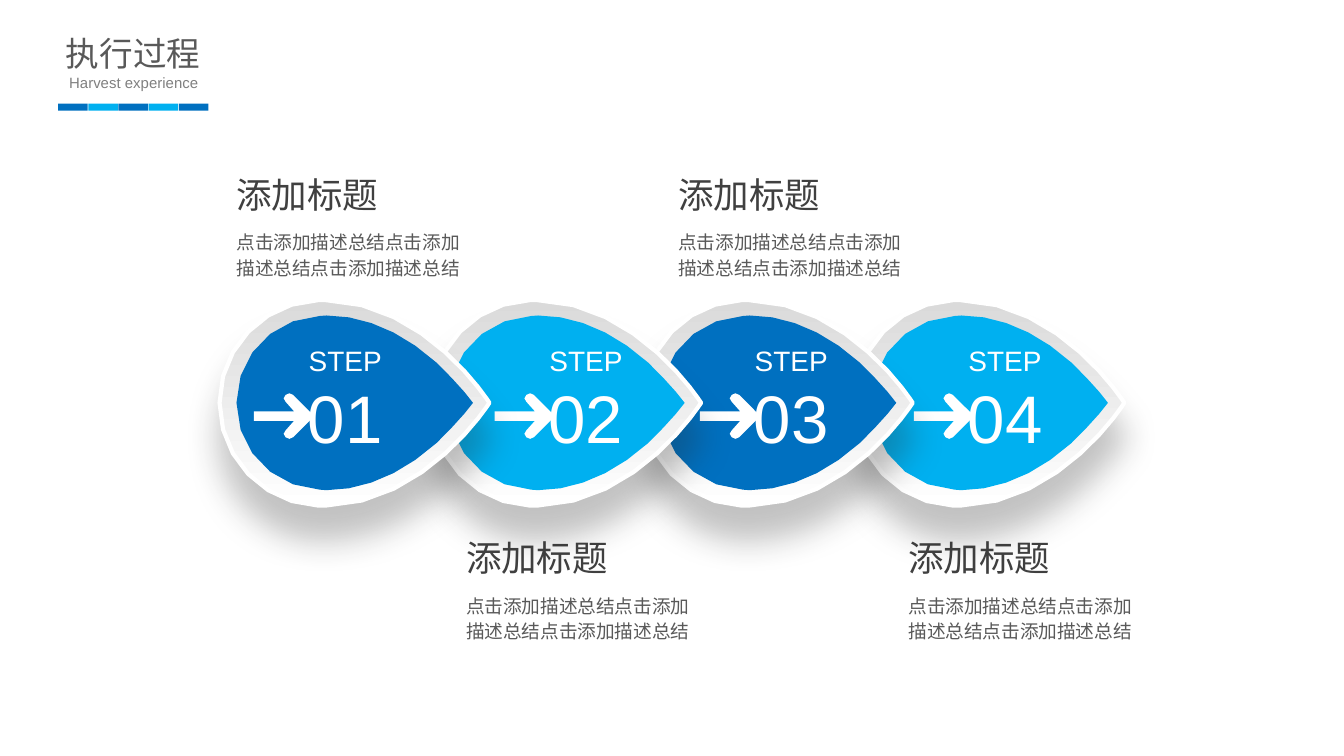
import math
from dataclasses import dataclass
from typing import Any

import pptx
import pptx.dml.color
import pptx.enum.shapes
import pptx.enum.text
import pptx.oxml
import pptx.oxml.ns
import pptx.util

Cm = pptx.util.Cm
Point = tuple[float, float]
Segment = tuple[Point, ...]
CENTER = pptx.enum.text.PP_ALIGN.CENTER

BLUE, SKY, WHITE = "0070C0", "00B0F0", "FFFFFF"
STEP_PITCH = 4.0
DROP_LEFT, DROP_MIDDLE, ARROW_MIDDLE = 4.15, 7.61, 7.86
UPPER_CAPTION, LOWER_CAPTION = 3.15, 10.01
CHORD = 0.5


@dataclass(frozen=True)
class UpperHalf:
    start: Point
    segments: tuple[Segment, ...]


@dataclass(frozen=True)
class Step:
    number: str
    color: str
    arrow_left: float
    caption_left: float
    caption_top: float


@dataclass(frozen=True)
class Line:
    text: str
    size: float
    color: str


DROP = UpperHalf((0, 0), (
    ((0, -1.04), (0.83, -1.9), (1.86, -1.94)),
    ((2.01, -1.94),),
    ((3.91, -1.9), (5.1, 0), (5.1, 0)),
))
CORE = UpperHalf((0, 0), (
    ((0, -0.89), (0.69, -1.6), (1.57, -1.64)),
    ((1.7, -1.65),),
    ((2.41, -1.65), (3.12, -1.35), (3.78, -0.76)),
    ((4.09, -0.46), (4.34, -0.18), (4.47, 0)),
))
ARROW = UpperHalf((0, -0.09), (
    ((0.76, -0.09),),
    ((0.6, -0.27),),
    ((0.55, -0.3), (0.55, -0.37), (0.6, -0.4)),
    ((0.64, -0.44), (0.7, -0.44), (0.74, -0.4)),
    ((1.14, 0),),
))
STEPS = (
    Step("01", BLUE, 4.8, 4.22, UPPER_CAPTION),
    Step("02", SKY, 9.35, 8.56, LOWER_CAPTION),
    Step("03", BLUE, 13.23, 12.57, UPPER_CAPTION),
    Step("04", SKY, 17.27, 16.92, LOWER_CAPTION),
)


def rgb(value: str) -> pptx.dml.color.RGBColor:
    return pptx.dml.color.RGBColor.from_string(value)


def trace(half: UpperHalf) -> list[Point]:
    upper = [half.start]
    for segment in half.segments:
        if len(segment) == 1:
            upper.append(segment[0])
            continue
        controls = (upper[-1], *segment)
        count = max(2, math.ceil(math.dist(controls[0], controls[-1]) / CHORD))
        for index in range(1, count + 1):
            t = index / count
            weights = ((1 - t) ** 3, 3 * t * (1 - t) ** 2, 3 * t * t * (1 - t), t ** 3)
            upper.append((
                sum(weight * x for weight, (x, _) in zip(weights, controls)),
                sum(weight * y for weight, (_, y) in zip(weights, controls)),
            ))
    return upper + [(x, -y) for x, y in reversed(upper) if y]


def paint(shape: Any, color: str) -> None:
    shape.shadow.inherit = False
    shape.fill.solid()
    shape.fill.fore_color.rgb = rgb(color)
    shape.line.fill.background()


def add_outline(shapes: Any, half: UpperHalf, left: float, middle: float, color: str) -> Any:
    points = [(Cm(left + x), Cm(middle + y)) for x, y in trace(half)]
    builder = shapes.build_freeform(*points[0])
    builder.add_line_segments(points[1:], close=True)
    shape = builder.convert_to_shape()
    paint(shape, color)
    return shape


def add_drop(shapes: Any, left: float) -> None:
    drop = add_outline(shapes, DROP, left, DROP_MIDDLE, WHITE)
    drop.fill.gradient()
    drop.fill.gradient_angle = 270
    for stop, color in zip(drop.fill.gradient_stops, ("DADADA", WHITE)):
        stop.color.rgb = rgb(color)
    drop.line.color.rgb = rgb(WHITE)
    drop.line.width = pptx.util.Pt(2.25)
    effects = drop.element.spPr.find(pptx.oxml.ns.qn("a:effectLst"))
    distance = pptx.util.Pt(18)
    effects.append(pptx.oxml.parse_xml(
        f'<a:outerShdw {pptx.oxml.ns.nsdecls("a")} blurRad="{distance}" dist="{distance}" '
        'dir="5400000" algn="t" rotWithShape="0">'
        '<a:srgbClr val="262626"><a:alpha val="28000"/></a:srgbClr></a:outerShdw>'
    ))


def add_text(shapes: Any, left: float, top: float, width: float, height: float,
             lines: tuple[Line, ...], align: Any = None, wrap: bool = True,
             spacing: float | None = None, inset: float = 0.25) -> None:
    box = shapes.add_textbox(Cm(left), Cm(top), Cm(width), Cm(height))
    frame = box.text_frame
    frame.word_wrap = wrap
    frame.auto_size = pptx.enum.text.MSO_AUTO_SIZE.SHAPE_TO_FIT_TEXT
    frame.margin_left = frame.margin_right = Cm(inset)
    frame.margin_top = frame.margin_bottom = Cm(inset / 2)
    for index, line in enumerate(lines):
        para = frame.add_paragraph() if index else frame.paragraphs[0]
        para.alignment = align
        if spacing:
            para.line_spacing = pptx.util.Pt(spacing)
        span = para.add_run()
        span.text = line.text
        span.font.name = "Arial"
        span.font.size = pptx.util.Pt(line.size)
        span.font.color.rgb = rgb(line.color)


def add_caption(shapes: Any, step: Step) -> None:
    group = shapes.add_group_shape().shapes
    description = Line("点击添加描述总结" * 3, 10, "595959")
    add_text(group, step.caption_left, step.caption_top + 1.04, 5, 1.75,
             (description,), spacing=13.5)
    add_text(group, step.caption_left, step.caption_top, 3.78, 1.07,
             (Line("添加标题", 19, "404040"),))


def add_step(shapes: Any, step: Step, left: float) -> None:
    group = shapes.add_group_shape().shapes
    add_drop(group, left)
    add_outline(group, CORE, left + 0.32, DROP_MIDDLE, step.color)
    add_outline(group, ARROW, step.arrow_left, ARROW_MIDDLE, WHITE)
    add_text(group, step.arrow_left + 0.81, 6.38, 1.83, 2.39,
             (Line("STEP", 15, WHITE), Line(step.number, 36, WHITE)),
             CENTER, wrap=False, inset=0.2)


def add_header(shapes: Any) -> None:
    add_text(shapes, 1.04, 0.53, 2.95, 0.97, (Line("执行过程", 18, "595959"),),
             CENTER, wrap=False, inset=0.18)
    add_text(shapes, 0.08, 1.27, 4.9, 0.61, (Line("Harvest experience", 8, "808080"),), CENTER)
    for index in range(5):
        bar = shapes.add_shape(pptx.enum.shapes.MSO_SHAPE.RECTANGLE,
                               Cm(1.1 + 0.57 * index), Cm(1.96), Cm(0.56), Cm(0.13))
        paint(bar, SKY if index % 2 else BLUE)


def main() -> None:
    deck = pptx.Presentation()
    deck.slide_width, deck.slide_height = Cm(25.4), Cm(14.28)
    page = deck.slides.add_slide(deck.slide_layouts[6])
    for step in STEPS:
        add_caption(page.shapes, step)
    for index, step in reversed(list(enumerate(STEPS))):
        add_step(page.shapes, step, DROP_LEFT + STEP_PITCH * index)
    add_header(page.shapes)
    deck.save("out.pptx")


if __name__ == "__main__":
    main()
